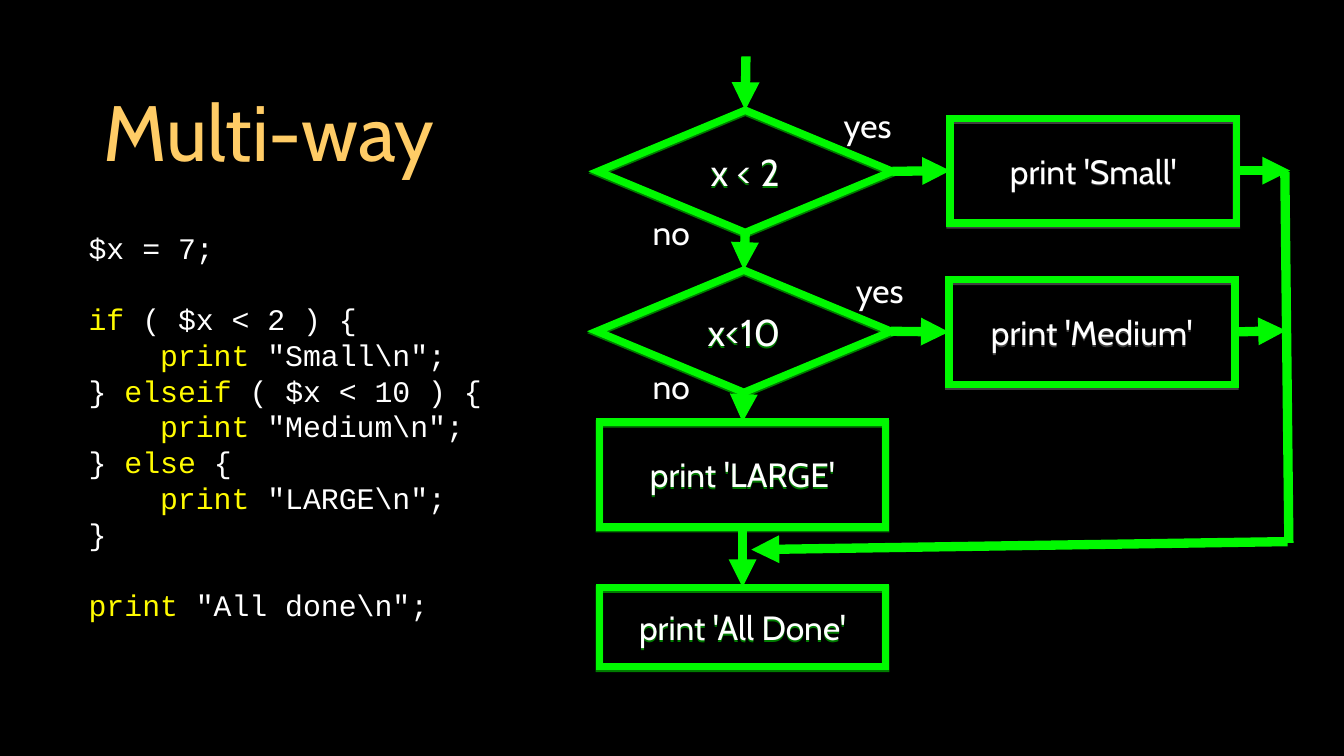
import pptx
import pptx.dml.color
import pptx.enum.shapes
import pptx.enum.text
import pptx.oxml
import pptx.oxml.ns
import pptx.util
from pptx.util import Inches

COLORS = {"background": "000000", "title": "FFCC66", "text": "FFFFFF",
          "keyword": "FFFB00", "flow": "00F900", "gray": "808080"}
TOP, LEFT, BOTTOM, RIGHT = range(4)
SHAPES = pptx.enum.shapes.MSO_SHAPE
ALIGN = pptx.enum.text.PP_ALIGN
NAMESPACE = pptx.oxml.ns.nsdecls("a")


def rgb(name):
    return pptx.dml.color.RGBColor.from_string(COLORS[name])


def add_effects(shape, content=""):
    """Replace the theme's effects with the given effect XML."""
    shape._element.spPr.append(pptx.oxml.parse_xml(
        f"<a:effectLst {NAMESPACE}>{content}</a:effectLst>"))


class FlowSlide:
    body_font = "Cabin"
    code_font = "Courier New"

    def __init__(self, presentation):
        self.slide = presentation.slides.add_slide(presentation.slide_layouts[6])
        fill = self.slide.background.fill
        fill.solid()
        fill.fore_color.rgb = rgb("background")

    def style_run(self, run, size, color="text", font=body_font):
        run.font.name = font
        run.font.size = pptx.util.Pt(size)
        run.font.color.rgb = rgb(color)

    def style_line(self, line, width, detail):
        """Colour a line and add its join or arrowhead element."""
        line.color.rgb = rgb("flow")
        line.width = pptx.util.Pt(width)
        if detail:
            line._get_or_add_ln().append(
                pptx.oxml.parse_xml(f"<a:{detail.replace(' ', f' {NAMESPACE} ', 1)}/>"))

    def frame(self, shape, margin=0, wrap=True):
        frame = shape.text_frame
        frame.word_wrap = wrap
        frame.vertical_anchor = pptx.enum.text.MSO_ANCHOR.MIDDLE
        frame.margin_left = frame.margin_right = Inches(margin)
        frame.margin_top = frame.margin_bottom = Inches(margin)
        return frame

    def centered_text(self, frame, text, size, color="text"):
        frame.text = text
        paragraph = frame.paragraphs[0]
        paragraph.alignment = ALIGN.CENTER
        self.style_run(paragraph.runs[0], size, color)

    def label(self, text, left, top, width, height=0.34, size=18, color="text"):
        box = self.slide.shapes.add_textbox(
            Inches(left), Inches(top), Inches(width), Inches(height))
        self.centered_text(self.frame(box, wrap=False), text, size, color)

    def code(self, lines, left, top, width, height, size=16):
        """Lines are (gap before, indent, keyword, rest)."""
        box = self.slide.shapes.add_textbox(
            Inches(left), Inches(top), Inches(width), Inches(height))
        frame = self.frame(box, margin=0.03)
        for index, (gap, indent, keyword, rest) in enumerate(lines):
            paragraph = frame.add_paragraph() if index else frame.paragraphs[0]
            paragraph.alignment = ALIGN.LEFT
            if gap:
                paragraph.space_before = pptx.util.Pt(19)
            for text, color in ((indent, "text"), (keyword, "keyword"), (rest, "text")):
                if text:
                    run = paragraph.add_run()
                    run.text = text
                    self.style_run(run, size, color, self.code_font)

    def node(self, kind, text, left, top, width, height, size=18, shadow="flow"):
        node = self.slide.shapes.add_shape(
            kind, Inches(left), Inches(top), Inches(width), Inches(height))
        node.fill.background()
        self.style_line(node.line, 4, 'miter lim="800000"')
        add_effects(node, '<a:outerShdw dist="12700" dir="5400000" rotWithShape="0">'
                    f'<a:srgbClr val="{COLORS[shadow]}"><a:alpha val="50000"/>'
                    '</a:srgbClr></a:outerShdw>')
        self.centered_text(self.frame(node, wrap=False), text, size)
        return node

    def decision(self, text, left, top):
        return self.node(SHAPES.DIAMOND, text, left, top, 2.19, 0.91, size=20)

    def step(self, text, left, top, height=0.78, shadow="flow"):
        return self.node(SHAPES.RECTANGLE, text, left, top, 2.13, height, shadow=shadow)

    def flow(self, start, end, begin_at=None, end_at=None, arrow=True):
        """Draw a line between points; begin_at and end_at are (node, side)."""
        line = self.slide.shapes.add_connector(
            pptx.enum.shapes.MSO_CONNECTOR.STRAIGHT,
            *(Inches(value) for value in (*start, *end)))
        self.style_line(line.line, 5, 'tailEnd type="triangle"' if arrow else None)
        add_effects(line)
        if begin_at:
            line.begin_connect(*begin_at)
        if end_at:
            line.end_connect(*end_at)


def main():
    presentation = pptx.Presentation()
    presentation.slide_width = Inches(10)
    presentation.slide_height = Inches(10) * 9 // 16
    page = FlowSlide(presentation)

    page.label("Multi-way", 0.34, 0.46, 3.32, 1.02, size=42, color="title")
    page.code([
        (False, "", "", "$x = 7;"),
        (True, "", "if", " ( $x < 2 ) {"),
        (False, "    ", "print", ' "Small\\n";'),
        (False, "} ", "elseif", " ( $x < 10 ) {"),
        (False, "    ", "print", ' "Medium\\n";'),
        (False, "} ", "else", " {"),
        (False, "    ", "print", ' "LARGE\\n";'),
        (False, "}", "", ""),
        (True, "", "print", ' "All done\\n";'),
    ], 0.63, 1.68, 3.31, 2.98)

    below_two = page.decision("x < 2", 4.45, 0.82)
    below_ten = page.decision("x<10", 4.44, 2.01)
    small = page.step("print 'Small'", 7.07, 0.88, shadow="gray")
    medium = page.step("print 'Medium'", 7.06, 2.08, shadow="gray")
    large = page.step("print 'LARGE'", 4.46, 3.14)
    all_done = page.step("print 'All Done'", 4.46, 4.37, height=0.59)

    page.flow((5.55, 0.42), (5.56, 0.85), end_at=(below_two, TOP))
    page.flow((5.52, 1.72), (5.53, 2.07), (below_two, BOTTOM), (below_ten, TOP))
    page.flow((5.56, 2.91), (5.56, 3.17), (below_ten, BOTTOM), (large, TOP))
    page.flow((5.57, 3.92), (5.55, 4.39), (large, BOTTOM), (all_done, TOP))
    page.flow((6.67, 1.28), (7.04, 1.27), (below_two, RIGHT), (small, LEFT))
    page.flow((6.66, 2.47), (7.03, 2.47), (below_ten, RIGHT), (medium, LEFT))
    page.flow((9.22, 1.28), (9.6, 1.27), begin_at=(small, RIGHT))
    page.flow((9.2, 2.46), (9.57, 2.46), begin_at=(medium, RIGHT))
    page.flow((9.56, 1.28), (9.59, 4.04), arrow=False)
    page.flow((9.58, 4.03), (5.59, 4.09))

    for answer, left, top, width in (("yes", 6.26, 0.76, 0.39), ("no", 4.83, 1.56, 0.33),
                                     ("yes", 6.35, 1.99, 0.39), ("no", 4.83, 2.7, 0.33)):
        page.label(answer, left, top, width)

    presentation.save("out.pptx")


if __name__ == "__main__":
    main()
